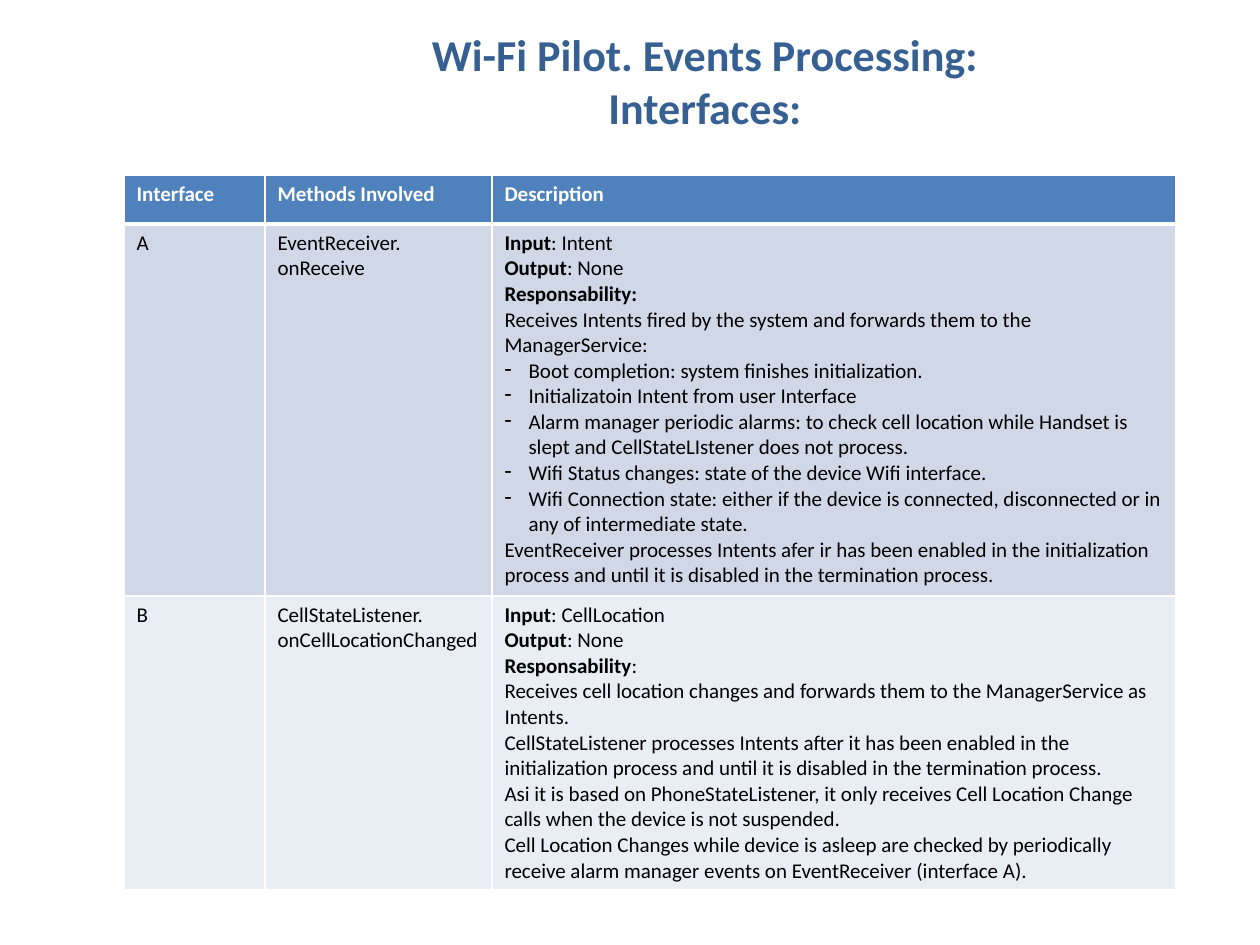
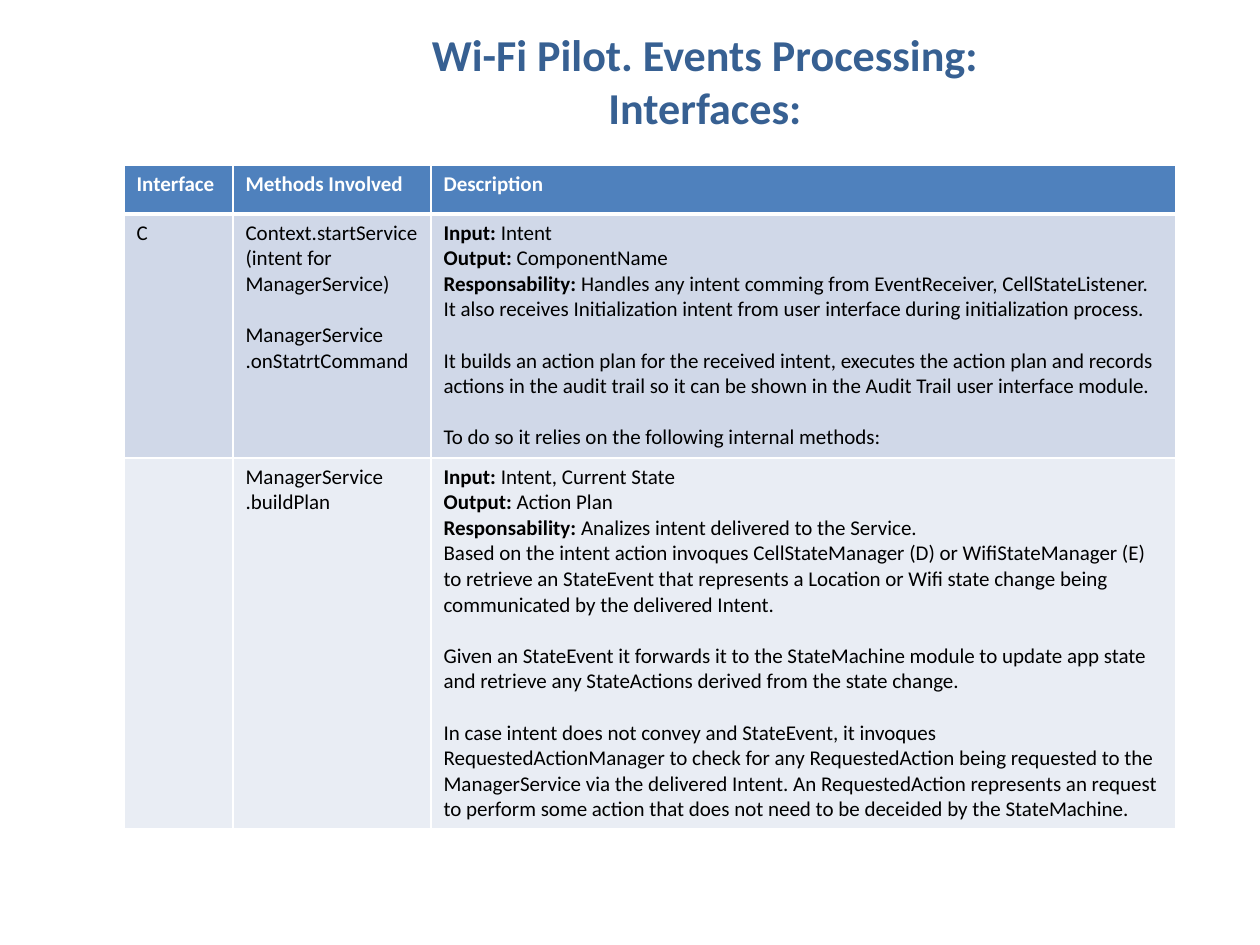
import dataclasses

import lxml.etree
import pptx
import pptx.dml.color
import pptx.enum.text
import pptx.oxml.ns
import pptx.util

SCALE = 914400 // 126


@dataclasses.dataclass(frozen=True)
class Theme:
    font: str = "Calibri"
    title_size: float = 25.2
    text_size: float = 12
    gap: float = 14.6
    title: str = "376092"
    header: str = "4F81BD"
    bands: tuple = ("D0D8E8", "E9EDF4")
    text: str = "000000"
    white: str = "FFFFFF"
    border: float = 1
    header_border: float = 3


@dataclasses.dataclass(frozen=True)
class Line:
    text: str = ""
    lead: str = ""
    bullet: bool = False
    gap: bool = False


THEME = Theme()
TITLE = ("Wi-Fi Pilot. Events Processing: ", "Interfaces: ")
HEADINGS = ("Interface", "Methods Involved", "Description")

EVENT_ROWS = [
    ([Line("A")],
     [Line("EventReceiver."), Line("onReceive")],
     [Line(": Intent", "Input"),
      Line(": None", "Output"),
      Line(lead="Responsability:"),
      Line("Receives Intents fired by the system and forwards them to the ManagerService: "),
      Line("Boot completion: system finishes initialization.", bullet=True),
      Line("Initializatoin Intent from user Interface", bullet=True),
      Line("Alarm manager periodic alarms: to check cell location while Handset is "
           "slept and CellStateLIstener does not process. ", bullet=True),
      Line("Wifi Status changes: state of the device Wifi interface.", bullet=True),
      Line("Wifi Connection state: either if the device is connected, disconnected "
           "or in any of intermediate state.", bullet=True),
      Line("EventReceiver processes Intents afer ir has been enabled in the "
           "initialization process and until it is disabled in the termination process.")]),
    ([Line("B")],
     [Line("CellStateListener."), Line("onCellLocationChanged")],
     [Line(": CellLocation", "Input"),
      Line(": None", "Output"),
      Line(": ", "Responsability"),
      Line("Receives cell location changes and forwards them to the ManagerService as Intents."),
      Line("CellStateListener processes Intents after it has been enabled in the "
           "initialization process and until it is disabled in the termination process."),
      Line("Asi it is based on PhoneStateListener, it only receives Cell Location "
           "Change calls when the device is not suspended. "),
      Line("Cell Location Changes while device is asleep are checked by periodically "
           "receive alarm manager events on EventReceiver (interface A).")]),
]

SERVICE_ROWS = [
    ([Line("C")],
     [Line("Context.startService (intent for ManagerService)"),
      Line("ManagerService", gap=True),
      Line(".onStatrtCommand")],
     [Line("Intent", "Input: "),
      Line("ComponentName", "Output: "),
      Line("Handles any intent comming from EventReceiver, CellStateListener. It also "
           "receives Initialization intent from user interface during initialization "
           "process.", "Responsability: "),
      Line("It builds an action plan for the received intent, executes the action plan "
           "and records actions in the audit trail so it can be shown in the Audit "
           "Trail user interface module.", gap=True),
      Line("To do so it relies on the following internal methods:", gap=True)]),
    ([Line()],
     [Line("ManagerService"), Line(".buildPlan")],
     [Line("Intent, Current State", "Input: "),
      Line("Action Plan", "Output: "),
      Line("Analizes intent delivered to the Service. ", "Responsability: "),
      Line("Based on the intent action invoques CellStateManager (D) or WifiStateManager "
           "(E) to retrieve an StateEvent that represents a Location or Wifi state "
           "change being communicated by the delivered Intent."),
      Line("Given an StateEvent it forwards it to the StateMachine module to update app "
           "state and retrieve any StateActions derived from the state change.", gap=True),
      Line("In case intent does not convey and StateEvent, it invoques "
           "RequestedActionManager to check for any RequestedAction being requested to "
           "the ManagerService via the delivered Intent. An RequestedAction represents "
           "an request to perform some action that does not need to be deceided by the "
           "StateMachine.", gap=True)]),
]


def px(length):
    return pptx.util.Emu(length * SCALE)


def rgb(value):
    return pptx.dml.color.RGBColor.from_string(value)


def set_font(para, size, color):
    for target in (para, *para.runs):
        target.font.name = THEME.font
        target.font.size = pptx.util.Pt(size)
        target.font.color.rgb = rgb(color)


def add_element(parent, tag, **attributes):
    return lxml.etree.SubElement(parent, pptx.oxml.ns.qn(tag), attributes)


def add_title(page):
    box = page.shapes.title
    box.left, box.top, box.width, box.height = map(px, (213, 37, 994, 87))
    frame = box.text_frame
    frame.text = "\n".join(TITLE)
    frame.auto_size = pptx.enum.text.MSO_AUTO_SIZE.NONE
    frame.vertical_anchor = pptx.enum.text.MSO_ANCHOR.MIDDLE
    for para in frame.paragraphs:
        para.alignment = pptx.enum.text.PP_ALIGN.CENTER
        set_font(para, THEME.title_size, THEME.title)
        for target in (para, *para.runs):
            target.font.bold = True


def set_borders(cell, top, bottom):
    properties = cell._tc.get_or_add_tcPr()
    widths = {"a:lnL": THEME.border, "a:lnR": THEME.border, "a:lnT": top, "a:lnB": bottom}
    for tag, width in widths.items():
        edge = add_element(properties, tag, w=str(pptx.util.Pt(width)))
        add_element(add_element(edge, "a:solidFill"), "a:srgbClr", val=THEME.white)


def set_bullet(para):
    properties = para._p.get_or_add_pPr()
    indent = px(24)
    properties.set("marL", str(indent))
    properties.set("indent", str(-indent))
    bullet = lxml.etree.Element(pptx.oxml.ns.qn("a:buChar"), {"char": "-"})
    properties.insert(0, bullet)


def write_line(para, line, color):
    for text, bold in ((line.lead, True), (line.text, False)):
        if text:
            span = para.add_run()
            span.text = text
            span.font.bold = bold
    set_font(para, THEME.text_size, color)
    if line.bullet:
        set_bullet(para)
    if line.gap:
        para.space_before = pptx.util.Pt(THEME.gap)


def fill_cell(cell, lines, fill, color, top, bottom):
    set_borders(cell, top, bottom)
    cell.fill.solid()
    cell.fill.fore_color.rgb = rgb(fill)
    frame = cell.text_frame
    for index, line in enumerate(lines):
        para = frame.add_paragraph() if index else frame.paragraphs[0]
        write_line(para, line, color)


def add_interface_table(page, top, widths, heights, rows):
    box = page.shapes.add_table(len(heights), len(widths), px(124), px(top),
                                px(sum(widths)), px(sum(heights)))
    table = box.table
    for column, width in zip(table.columns, widths):
        column.width = px(width)
    for row, height in zip(table.rows, heights):
        row.height = px(height)
    for column, heading in enumerate(HEADINGS):
        fill_cell(table.cell(0, column), [Line(lead=heading)], THEME.header,
                  THEME.white, THEME.border, THEME.header_border)
    for number, row in enumerate(rows, 1):
        upper = THEME.header_border if number == 1 else THEME.border
        for column, lines in enumerate(row):
            fill_cell(table.cell(number, column), lines, THEME.bands[number - 1],
                      THEME.text, upper, THEME.border)


def add_page(deck, *table):
    page = deck.slides.add_slide(deck.slide_layouts[5])
    add_title(page)
    add_interface_table(page, *table)


def main():
    deck = pptx.Presentation()
    deck.slide_width, deck.slide_height = px(1260), px(945)
    add_page(deck, 175, (141, 227, 684), (49, 372, 293), EVENT_ROWS)
    add_page(deck, 165, (109, 198, 745), (49, 244, 370), SERVICE_ROWS)
    deck.save("out.pptx")


main()
